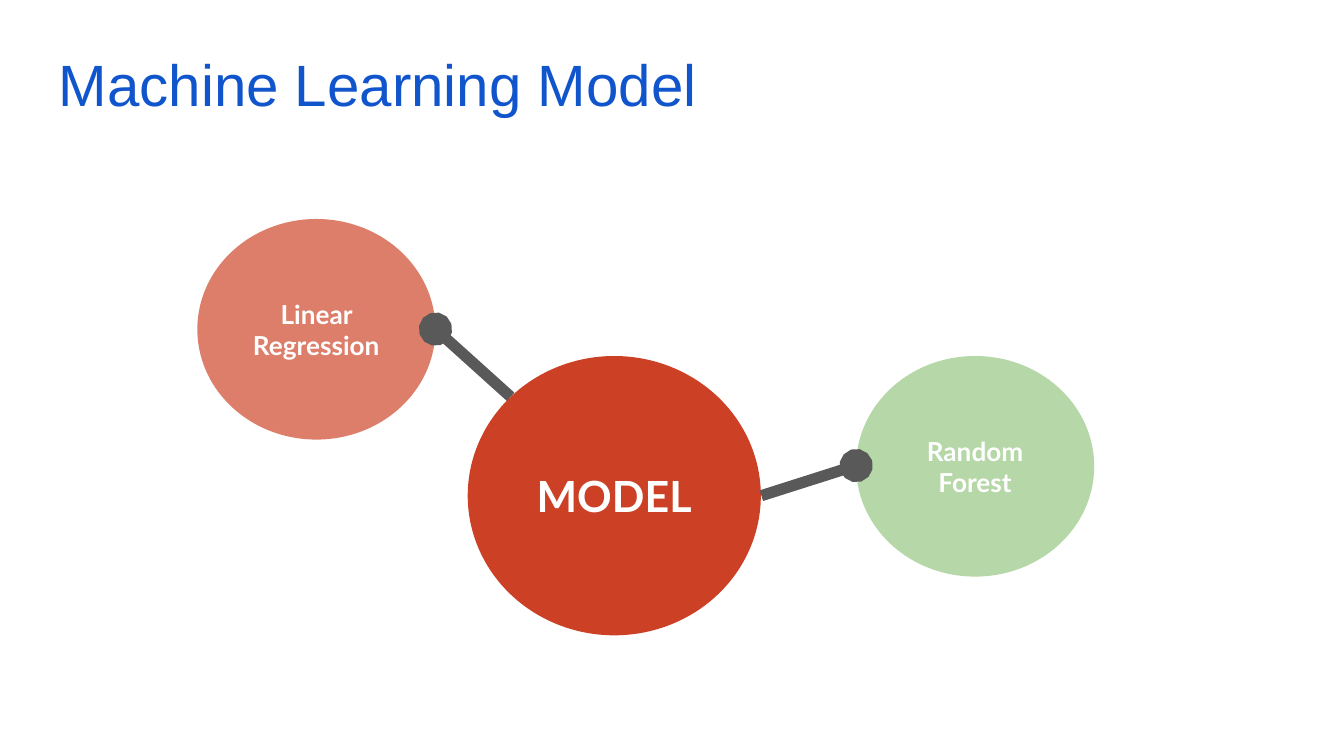
import lxml.etree
import pptx
import pptx.dml.color
import pptx.enum.shapes
import pptx.enum.text
import pptx.oxml.ns
import pptx.util

Cm, Pt = pptx.util.Cm, pptx.util.Pt
RGB = pptx.dml.color.RGBColor.from_string
qn = pptx.oxml.ns.qn
ALIGN, ANCHOR = pptx.enum.text.PP_ALIGN, pptx.enum.text.MSO_ANCHOR

COLORS = {
    "title": "1155CC",
    "model": "CC4125",
    "regression": "DD7E6B",
    "forest": "B6D7A8",
    "text": "FFFFFF",
    "link": "595959",
}


def set_text(shape, text, font, size, color, align, anchor, bold=False):
    tf = shape.text_frame
    tf.text = text
    tf.word_wrap = True
    tf.auto_size = pptx.enum.text.MSO_AUTO_SIZE.NONE
    tf.vertical_anchor = anchor
    tf.margin_left = tf.margin_right = Cm(0.25)
    tf.margin_top = tf.margin_bottom = Cm(0.25)
    p = tf.paragraphs[0]
    p.alignment = align
    r = p.runs[0]
    r.font.name = font
    r.font.size = Pt(size)
    r.font.bold = bold
    r.font.color.rgb = RGB(COLORS[color])


prs = pptx.Presentation()
prs.slide_width, prs.slide_height = Cm(25.4), Cm(14.29)
s = prs.slides.add_slide(prs.slide_layouts[5])

# Title
title = s.shapes.title
title.left, title.top, title.width, title.height = Cm(0.86), Cm(0.66), Cm(23.67), Cm(2.49)
set_text(title, "Machine Learning Model", "Arial", 31.2, "title", ALIGN.LEFT, ANCHOR.TOP)

# Circles: text, colour, left, top, width, height, font size
circles = [
    ("MODEL", "model", 8.84, 6.73, 5.54, 5.28, 23),
    ("Linear Regression", "regression", 3.73, 4.14, 4.5, 4.17, 14),
    ("Random Forest", "forest", 16.18, 6.73, 4.5, 4.17, 14),
]
for text, color, left, top, width, height, size in circles:
    sp = s.shapes.add_shape(pptx.enum.shapes.MSO_SHAPE.OVAL,
                            Cm(left), Cm(top), Cm(width), Cm(height))
    sp.shadow.inherit = False
    sp.fill.solid()
    sp.fill.fore_color.rgb = RGB(COLORS[color])
    sp.line.fill.background()
    set_text(sp, text, "Lato", size, "text", ALIGN.CENTER, ANCHOR.MIDDLE, bold=True)

# Links from the model to each algorithm, ending in a dot
for x1, y1, x2, y2 in [(9.65, 7.5, 8.23, 6.22), (14.39, 9.37, 16.18, 8.8)]:
    link = s.shapes.add_connector(pptx.enum.shapes.MSO_CONNECTOR.STRAIGHT,
                                  Cm(x1), Cm(y1), Cm(x2), Cm(y2))
    link.line.color.rgb = RGB(COLORS["link"])
    link.line.width = Pt(6)
    ln = link.line._get_or_add_ln()
    lxml.etree.SubElement(ln, qn("a:tailEnd"), type="oval", w="med", len="med")
    lxml.etree.SubElement(link._element.spPr, qn("a:effectLst"))

prs.save("out.pptx")
